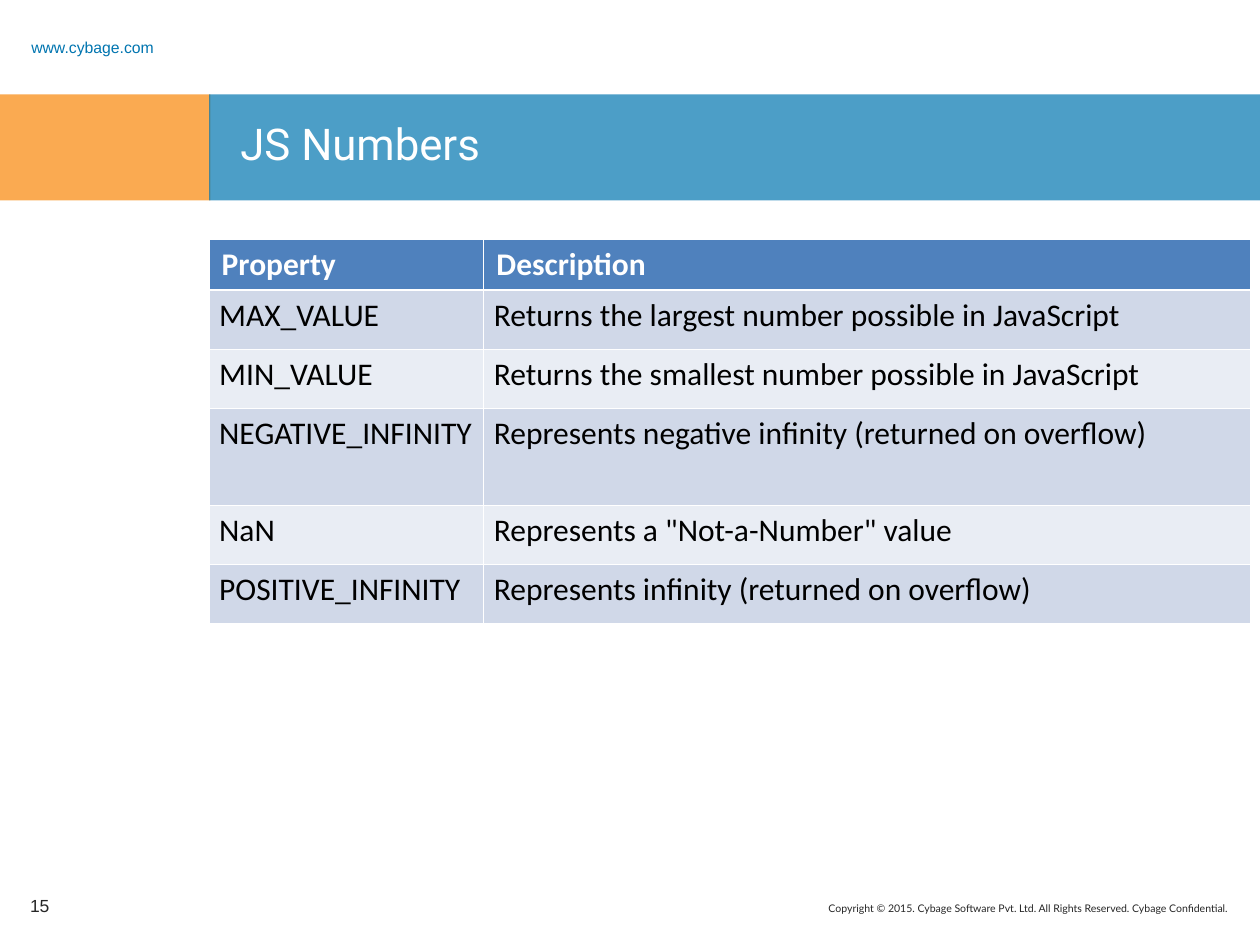
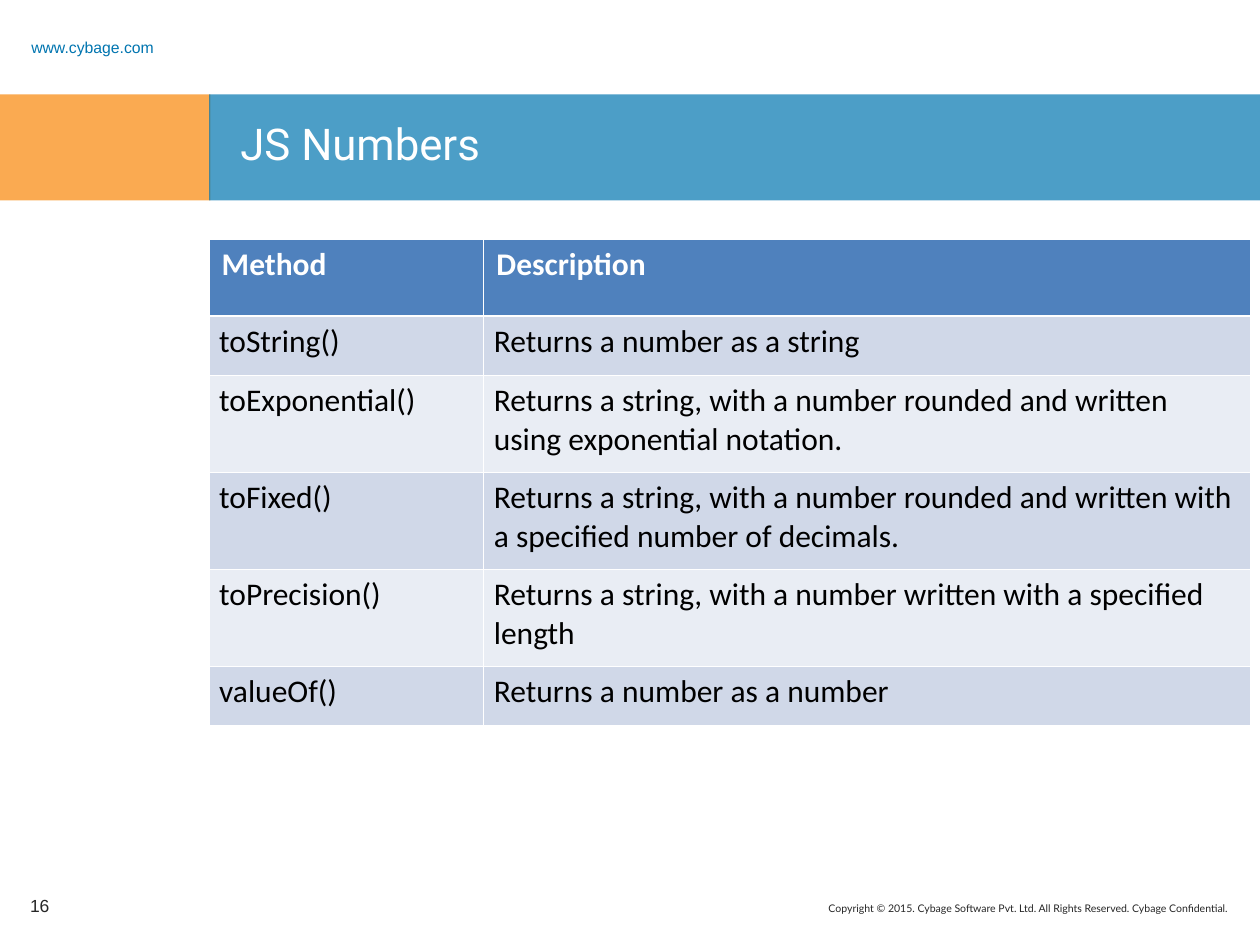
from lxml.etree import SubElement
from pptx import Presentation
from pptx.dml.color import RGBColor
from pptx.enum.shapes import MSO_SHAPE
from pptx.enum.text import MSO_ANCHOR, PP_ALIGN
from pptx.oxml.ns import qn
from pptx.util import Inches, Pt

WHITE = RGBColor(0xFF, 0xFF, 0xFF)
BLACK = RGBColor(0x00, 0x00, 0x00)
CHARCOAL = RGBColor(0x26, 0x26, 0x26)
ORANGE = RGBColor(0xF8, 0x86, 0x08)
BLUE = RGBColor(0x00, 0x75, 0xB0)
HEADER_BLUE = RGBColor(0x4F, 0x81, 0xBD)
ROW_TINTS = (RGBColor(0xD0, 0xD8, 0xE8), RGBColor(0xE9, 0xED, 0xF4))

TITLE = {"name": "Roboto", "size": Pt(25), "color": WHITE}
ADDRESS = {"name": "Arial", "size": Pt(9), "color": BLUE}
PAGE_NUMBER = {"name": "Arial", "size": Pt(10), "color": CHARCOAL}
COPYRIGHT = {"name": "Lato", "size": Pt(6), "color": CHARCOAL}
TABLE_HEAD = {"name": "Calibri", "size": Pt(18), "bold": True, "color": WHITE}
TABLE_BODY = {"name": "Calibri", "size": Pt(18), "bold": False, "color": BLACK}

COLUMN_WIDTHS = (2.18, 6.08)
ONE_LINE, TWO_LINES = 0.47, 0.77
THIN, THICK = 0.45, 1.47

PROPERTIES = [
    (0.4, "Property", "Description"),
    (ONE_LINE, "MAX_VALUE", "Returns the largest number possible in JavaScript"),
    (ONE_LINE, "MIN_VALUE", "Returns the smallest number possible in JavaScript"),
    (TWO_LINES, "NEGATIVE_INFINITY", "Represents negative infinity (returned on overflow)"),
    (ONE_LINE, "NaN", 'Represents a "Not-a-Number" value'),
    (ONE_LINE, "POSITIVE_INFINITY", "Represents infinity (returned on overflow)"),
]
METHODS = [
    (0.61, "Method", "Description"),
    (ONE_LINE, "toString()", "Returns a number as a string"),
    (TWO_LINES, "toExponential()",
     "Returns a string, with a number rounded and written using exponential notation."),
    (TWO_LINES, "toFixed()",
     "Returns a string, with a number rounded and written with a specified number of decimals."),
    (TWO_LINES, "toPrecision()",
     "Returns a string, with a number written with a specified length"),
    (ONE_LINE, "valueOf()", "Returns a number as a number"),
]


def write(para, text, style):
    span = para.add_run()
    span.text = text
    for key, value in style.items():
        if key == "color":
            span.font.color.rgb = value
        else:
            setattr(span.font, key, value)


def add_text(page, place, text, style, anchor=MSO_ANCHOR.TOP, **para_format):
    box = page.shapes.add_textbox(*map(Inches, place))
    frame = box.text_frame
    frame.word_wrap = True
    frame.vertical_anchor = anchor
    para = frame.paragraphs[0]
    for key, value in para_format.items():
        setattr(para, key, value)
    write(para, text, style)


def add_band(page, left, width, color):
    band = page.shapes.add_shape(
        MSO_SHAPE.RECTANGLE, *map(Inches, (left, 0.75, width, 0.84)))
    band.shadow.inherit = False
    band.line.fill.background()
    band.fill.solid()
    band.fill.fore_color.rgb = color
    color_node = next(band.fill._xPr.iter(qn("a:srgbClr")))
    SubElement(color_node, qn("a:alpha"), val="70000")


def set_borders(cell, top, bottom):
    properties = cell._tc.get_or_add_tcPr()
    for side, points in (("L", THIN), ("R", THIN), ("T", top), ("B", bottom)):
        line = SubElement(properties, qn(f"a:ln{side}"), w=str(int(Pt(points))))
        fill = SubElement(line, qn("a:solidFill"))
        SubElement(fill, qn("a:srgbClr"), val=str(WHITE))


def add_reference_table(page, entries):
    height = sum(entry[0] for entry in entries)
    place = (1.66, 1.9, sum(COLUMN_WIDTHS), height)
    table = page.shapes.add_table(
        len(entries), len(COLUMN_WIDTHS), *map(Inches, place)).table
    for column, width in zip(table.columns, COLUMN_WIDTHS):
        column.width = Inches(width)
    for index, (row_height, *texts) in enumerate(entries):
        is_head = index == 0
        table.rows[index].height = Inches(row_height)
        for cell, text in zip(table.rows[index].cells, texts):
            cell.margin_left = cell.margin_right = Inches(0.1 if is_head else 0.08)
            set_borders(cell, THICK if index == 1 else THIN, THICK if is_head else THIN)
            cell.fill.solid()
            cell.fill.fore_color.rgb = HEADER_BLUE if is_head else ROW_TINTS[(index - 1) % 2]
            write(cell.text_frame.paragraphs[0], text, TABLE_HEAD if is_head else TABLE_BODY)


def add_page(deck, title, number):
    page = deck.slides.add_slide(deck.slide_layouts[6])
    add_text(page, (4.08, 7.11, 5.76, 0.26),
             "Copyright © 2015. Cybage Software Pvt. Ltd. All Rights Reserved. Cybage Confidential.",
             COPYRIGHT, alignment=PP_ALIGN.RIGHT)
    add_band(page, 0, 1.67, ORANGE)
    add_band(page, 1.66, 8.34, BLUE)
    add_text(page, (0.15, 0.24, 1.5, 0.19), "www.cybage.com", ADDRESS,
             MSO_ANCHOR.MIDDLE, line_spacing=1.5)
    add_text(page, (1.81, 0.88, 7.94, 0.62), title, TITLE)
    add_text(page, (0.14, 6.99, 0.54, 0.4), str(number), PAGE_NUMBER, MSO_ANCHOR.MIDDLE)
    return page


def main():
    deck = Presentation()
    deck.slide_width, deck.slide_height = Inches(10), Inches(7.5)
    for number, entries in enumerate((PROPERTIES, METHODS), start=15):
        page = add_page(deck, "JS Numbers", number)
        add_reference_table(page, entries)
    deck.save("out.pptx")


if __name__ == "__main__":
    main()
